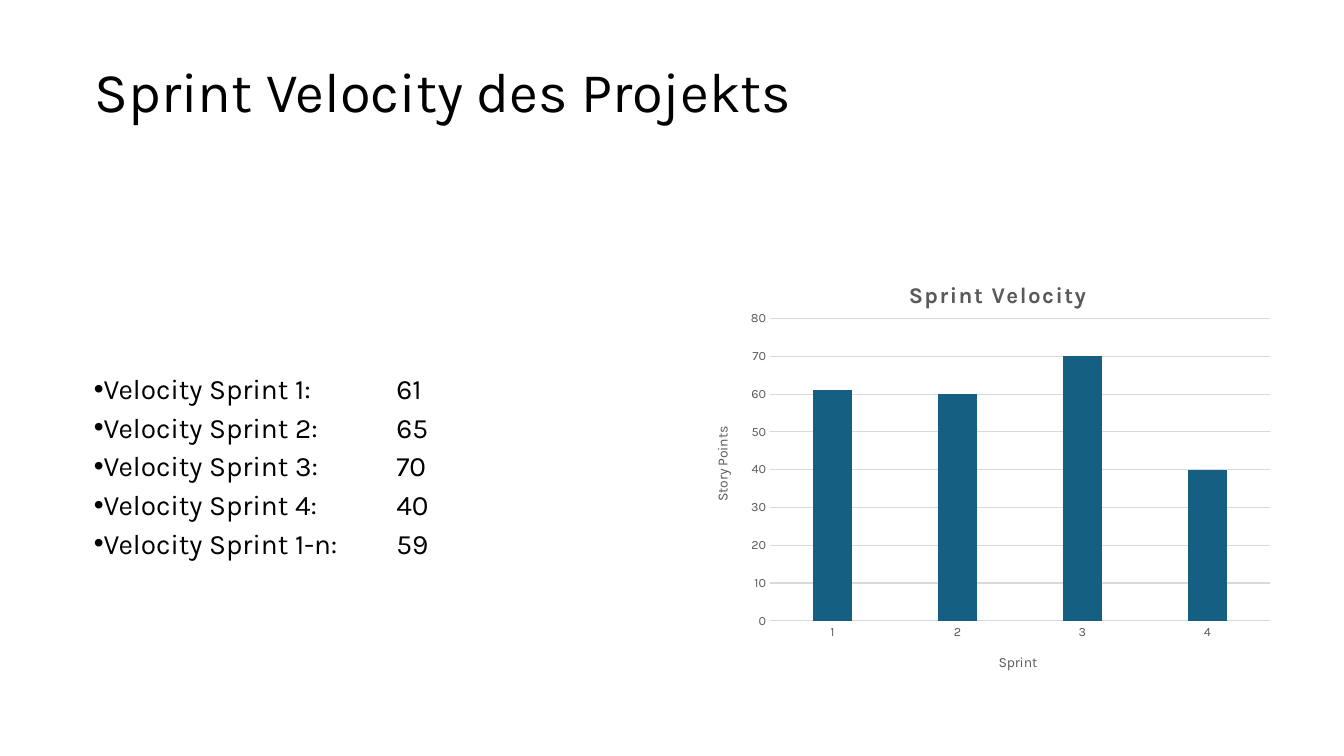
from lxml import etree
from pptx import Presentation
from pptx.chart.data import CategoryChartData
from pptx.dml.color import RGBColor
from pptx.enum.chart import XL_CHART_TYPE, XL_TICK_MARK
from pptx.enum.shapes import MSO_SHAPE
from pptx.enum.text import MSO_ANCHOR
from pptx.oxml.ns import qn
from pptx.util import Pt

WHITE = RGBColor(0xFF, 0xFF, 0xFF)
BLACK = RGBColor(0x00, 0x00, 0x00)
GRAY = RGBColor(0x59, 0x59, 0x59)
LIGHT = RGBColor(0xD9, 0xD9, 0xD9)
BLUE = RGBColor(0x15, 0x60, 0x82)
FACE = "Karla"
COLUMN = XL_CHART_TYPE.COLUMN_CLUSTERED
NO_TICK = XL_TICK_MARK.NONE
MIDDLE = MSO_ANCHOR.MIDDLE
RECT = MSO_SHAPE.RECTANGLE

SPEEDS = [("1", 61), ("2", 65), ("3", 70), ("4", 40), ("1-n", 59)]
POINTS = {"1": 61, "2": 60, "3": 70, "4": 40}


def style(font, size, color, bold=False):
    font.name = FACE
    font.size = Pt(size)
    font.bold = bold
    font.color.rgb = color


def add_band(slide, box):
    band = slide.shapes.add_shape(RECT, *map(Pt, box))
    band.shadow.inherit = False
    band.fill.solid()
    band.fill.fore_color.rgb = WHITE
    band.line.fill.background()


def add_text(slide, box, lines, size, after=0):
    frame = slide.shapes.add_textbox(*map(Pt, box)).text_frame
    frame.word_wrap = True
    frame.vertical_anchor = MIDDLE
    frame.text = "\n".join(lines)
    for para in frame.paragraphs:
        para.line_spacing = 0.9
        para.space_after = Pt(after)
        for run in para.runs:
            style(run.font, size, BLACK)
    return frame


def add_bullets(frame, stop):
    for para in frame.paragraphs:
        props = para._p.get_or_add_pPr()
        props.set("marL", "0")
        props.set("indent", str(-Pt(18)))
        etree.SubElement(props, qn("a:buFont")).set("typeface", "Arial")
        etree.SubElement(props, qn("a:buChar")).set("char", "•")
        tabs = etree.SubElement(props, qn("a:tabLst"))
        tab = etree.SubElement(tabs, qn("a:tab"))
        tab.set("pos", str(Pt(stop)))
        tab.set("algn", "l")


def place(parent, index, **values):
    for old in parent.findall(qn("c:layout")):
        parent.remove(old)
    layout = etree.Element(qn("c:layout"))
    parent.insert(index, layout)
    manual = etree.SubElement(layout, qn("c:manualLayout"))
    for name, value in values.items():
        etree.SubElement(manual, qn("c:" + name)).set("val", str(value))


def set_title(title, text, size, left, top, bold=False):
    frame = title.text_frame
    frame.text = text
    font = frame.paragraphs[0].runs[0].font
    style(font, size, GRAY, bold)
    place(title._element, 1, xMode="edge", yMode="edge", x=left, y=top)
    return frame


def style_axis(axis):
    axis.major_tick_mark = NO_TICK
    axis.minor_tick_mark = NO_TICK
    style(axis.tick_labels.font, 9, GRAY)


def add_columns(slide, box):
    data = CategoryChartData()
    data.categories = list(POINTS)
    data.add_series("Series 1", list(POINTS.values()))
    chart = slide.shapes.add_chart(COLUMN, *map(Pt, box), data).chart
    style(chart.font, 10, BLACK)
    chart.has_legend = False

    frame = set_title(chart.chart_title, "Sprint Velocity", 16, 0.36, 0.05, True)
    frame.paragraphs[0].runs[0].font._element.set("spc", "120")
    chart.chart_title.include_in_layout = False

    plot = chart.plots[0]
    plot.gap_width = 219
    plot.overlap = -27
    plot.vary_by_categories = False
    fill = plot.series[0].format.fill
    fill.solid()
    fill.fore_color.rgb = BLUE

    base = chart.category_axis
    style_axis(base)
    base.format.line.color.rgb = LIGHT
    base.format.line.width = Pt(0.75)
    set_title(base.axis_title, "Sprint", 10, 0.52, 0.94)

    scale = chart.value_axis
    style_axis(scale)
    scale.minimum_scale = 0
    scale.maximum_scale = 80
    scale.major_unit = 10
    scale.format.line.fill.background()
    grid = scale.major_gridlines.format.line
    grid.color.rgb = LIGHT
    grid.width = Pt(0.75)
    frame = set_title(scale.axis_title, "Story Points", 10, 0.02, 0.4)
    body = frame._txBody.bodyPr
    body.set("rot", "-5400000")
    body.set("vert", "horz")

    area = chart._chartSpace.chart.plotArea
    place(area, 0, layoutTarget="inner", xMode="edge", yMode="edge",
          x=0.124, y=0.149, w=0.876, h=0.721)


def main():
    deck = Presentation()
    deck.slide_width = Pt(960)
    deck.slide_height = Pt(540)
    slide = deck.slides.add_slide(deck.slide_layouts[6])
    add_band(slide, (0, 0, 960, 137))
    add_text(slide, (60.5, 19.5, 847, 96), ["Sprint Velocity des Projekts"], 40)
    lines = [f"Velocity Sprint {name}:\t{speed}" for name, speed in SPEEDS]
    add_bullets(add_text(slide, (60, 182.5, 383, 303), lines, 20, 6), 216)
    add_columns(slide, (499.5, 183, 408, 299.5))
    deck.save("out.pptx")


if __name__ == "__main__":
    main()
